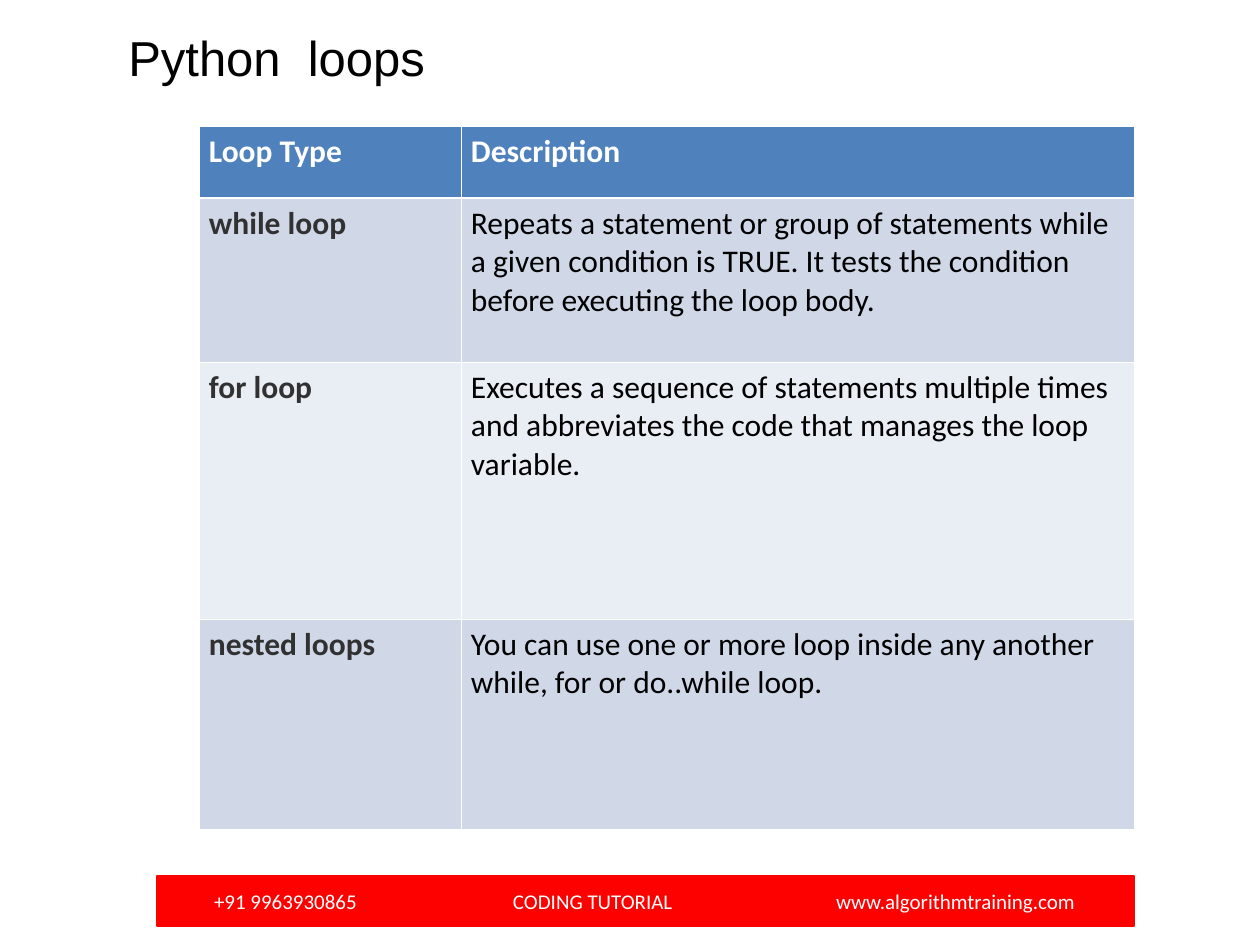
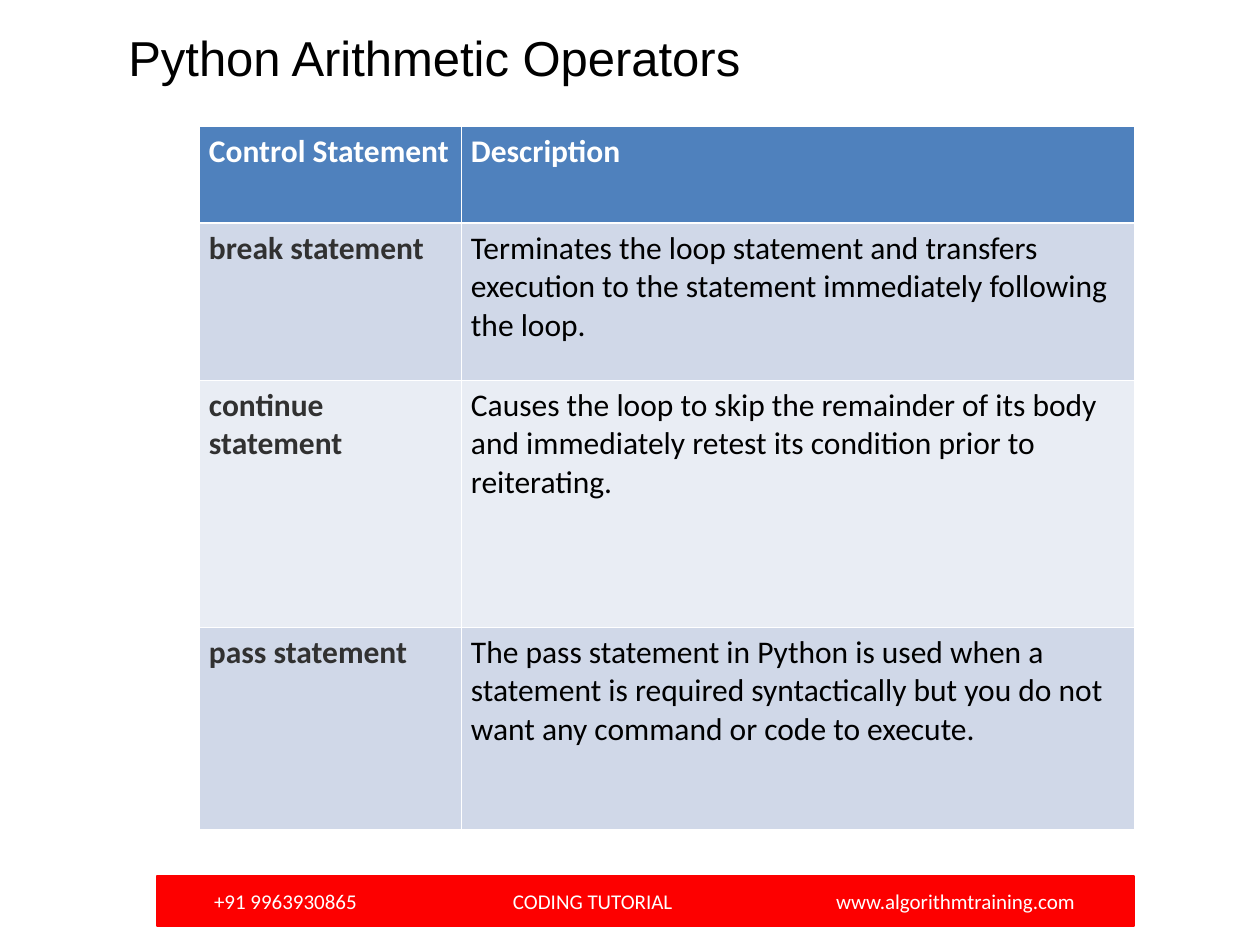
"""Build two slides that explain Python loops and loop control statements."""
from dataclasses import dataclass

from lxml.etree import SubElement
from pptx import Presentation
from pptx.dml.color import RGBColor
from pptx.enum.shapes import MSO_SHAPE as Shape
from pptx.enum.text import MSO_ANCHOR as Anchor, PP_ALIGN as Align
from pptx.oxml.ns import qn
from pptx.util import Pt

SLIDES = [
    {
        "title": "Python  loops",
        "row_heights": [72, 164, 257, 210],
        "rows": [
            ("Loop Type", "Description"),
            ("while loop", "Repeats a statement or group of statements while a given condition is TRUE. "
                           "It tests the condition before executing the loop body."),
            ("for loop", "Executes a sequence of statements multiple times and abbreviates the code "
                         "that manages the loop variable."),
            ("nested loops", "You can use one or more loop inside any another while, for or do..while loop."),
        ],
    },
    {
        "title": "Python Arithmetic Operators",
        "row_heights": [97, 157, 247, 202],
        "rows": [
            ("Control Statement", "Description"),
            ("break statement", "Terminates the loop statement and transfers execution to the statement "
                                "immediately following the loop."),
            ("continue statement", "Causes the loop to skip the remainder of its body and immediately "
                                   "retest its condition prior to reiterating."),
            ("pass statement", "The pass statement in Python is used when a statement is required "
                               "syntactically but you do not want any command or code to execute."),
        ],
    },
]
FOOTER = ["+91 9963930865", "CODING TUTORIAL", "www.algorithmtraining.com"]

PX_PER_INCH = 126
SLIDE_SIZE = (1260, 945)
TITLE_BOX = (116, 21, 945, 72)
FOOTER_BOX = (157, 876, 977, 50)
FOOTER_INSET = 57
FOOTER_TABS = [299, 622]
TABLE_LEFT, TABLE_TOP = 199, 126
COLUMN_WIDTHS = [262, 673]


@dataclass(frozen=True)
class Theme:
    """Colours, fonts and sizes shared by the slides."""
    title_font: str = "Arial"
    body_font: str = "Calibri"
    title_size: int = 28
    table_size: int = 18
    footer_size: int = 12
    black: str = "000000"
    white: str = "FFFFFF"
    label: str = "313131"
    footer: str = "FD0000"
    header: str = "4F81BD"
    bands: tuple = ("E9EDF4", "D0D8E8")
    thin_line: float = 0.45
    thick_line: float = 1.47


THEME = Theme()


def px(length):
    """Turn pixels into EMU."""
    return round(length * 914400 / PX_PER_INCH)


def box(bounds):
    """Turn pixel bounds into EMU."""
    return [px(length) for length in bounds]


def write(frame, text, *, size, color, font=THEME.body_font, bold=False, align=Align.LEFT, tabs=()):
    """Write one formatted paragraph into a text frame."""
    frame.word_wrap = True
    paragraph = frame.paragraphs[0]
    paragraph.alignment = align
    if tabs:
        tab_list = SubElement(paragraph._p.get_or_add_pPr(), qn("a:tabLst"))
        for position in tabs:
            SubElement(tab_list, qn("a:tab"), pos=str(px(position)), algn="l")
    run = paragraph.add_run()
    run.text = text
    run.font.name, run.font.size, run.font.bold = font, Pt(size), bold
    run.font.color.rgb = RGBColor.from_string(color)


def add_borders(cell, widths):
    """Draw white cell borders, given their widths by side."""
    properties = cell._tc.get_or_add_tcPr()
    for side, width in widths.items():
        line = SubElement(properties, qn(f"a:ln{side}"), w=str(Pt(width)))
        fill = SubElement(line, qn("a:solidFill"))
        SubElement(fill, qn("a:srgbClr"), val=THEME.white)


def add_title(slide, title):
    """Add the slide title."""
    text_box = slide.shapes.add_textbox(*box(TITLE_BOX))
    write(text_box.text_frame, title, size=THEME.title_size, color=THEME.black, font=THEME.title_font)


def add_footer(slide):
    """Add the contact band with its texts on tab stops."""
    band = slide.shapes.add_shape(Shape.RECTANGLE, *box(FOOTER_BOX))
    band.shadow.inherit = False
    band.fill.solid()
    band.fill.fore_color.rgb = band.line.color.rgb = RGBColor.from_string(THEME.footer)
    band.line.width = Pt(0.75)
    band.text_frame.margin_left = px(FOOTER_INSET)
    band.text_frame.vertical_anchor = Anchor.MIDDLE
    write(band.text_frame, "\t".join(FOOTER), size=THEME.footer_size, color=THEME.white, tabs=FOOTER_TABS)


def add_table(slide, rows, row_heights):
    """Add the banded table of terms and descriptions."""
    bounds = box((TABLE_LEFT, TABLE_TOP, sum(COLUMN_WIDTHS), sum(row_heights)))
    table = slide.shapes.add_table(len(rows), len(COLUMN_WIDTHS), *bounds).table
    table.horz_banding = False
    for column, width in zip(table.columns, COLUMN_WIDTHS):
        column.width = px(width)
    for row_index, (texts, height) in enumerate(zip(rows, row_heights)):
        table.rows[row_index].height = px(height)
        is_header = row_index == 0
        fill = THEME.header if is_header else THEME.bands[row_index % 2]
        top = THEME.thick_line if row_index == 1 else THEME.thin_line
        bottom = THEME.thick_line if is_header else THEME.thin_line
        for column_index, text in enumerate(texts):
            is_label = column_index == 0
            cell = table.cell(row_index, column_index)
            add_borders(cell, {"L": THEME.thin_line, "R": THEME.thin_line, "T": top, "B": bottom})
            cell.fill.solid()
            cell.fill.fore_color.rgb = RGBColor.from_string(fill)
            cell.margin_left = cell.margin_right = px(10)
            color = THEME.white if is_header else THEME.label if is_label else THEME.black
            align = Align.JUSTIFY if is_label and not is_header else Align.LEFT
            write(cell.text_frame, text, size=THEME.table_size, color=color,
                  bold=is_header or is_label, align=align)


def main():
    """Build and save the presentation."""
    presentation = Presentation()
    presentation.slide_width, presentation.slide_height = box(SLIDE_SIZE)
    for content in SLIDES:
        slide = presentation.slides.add_slide(presentation.slide_layouts[6])
        add_title(slide, content["title"])
        add_footer(slide)
        add_table(slide, content["rows"], content["row_heights"])
    presentation.save("out.pptx")


if __name__ == "__main__":
    main()
